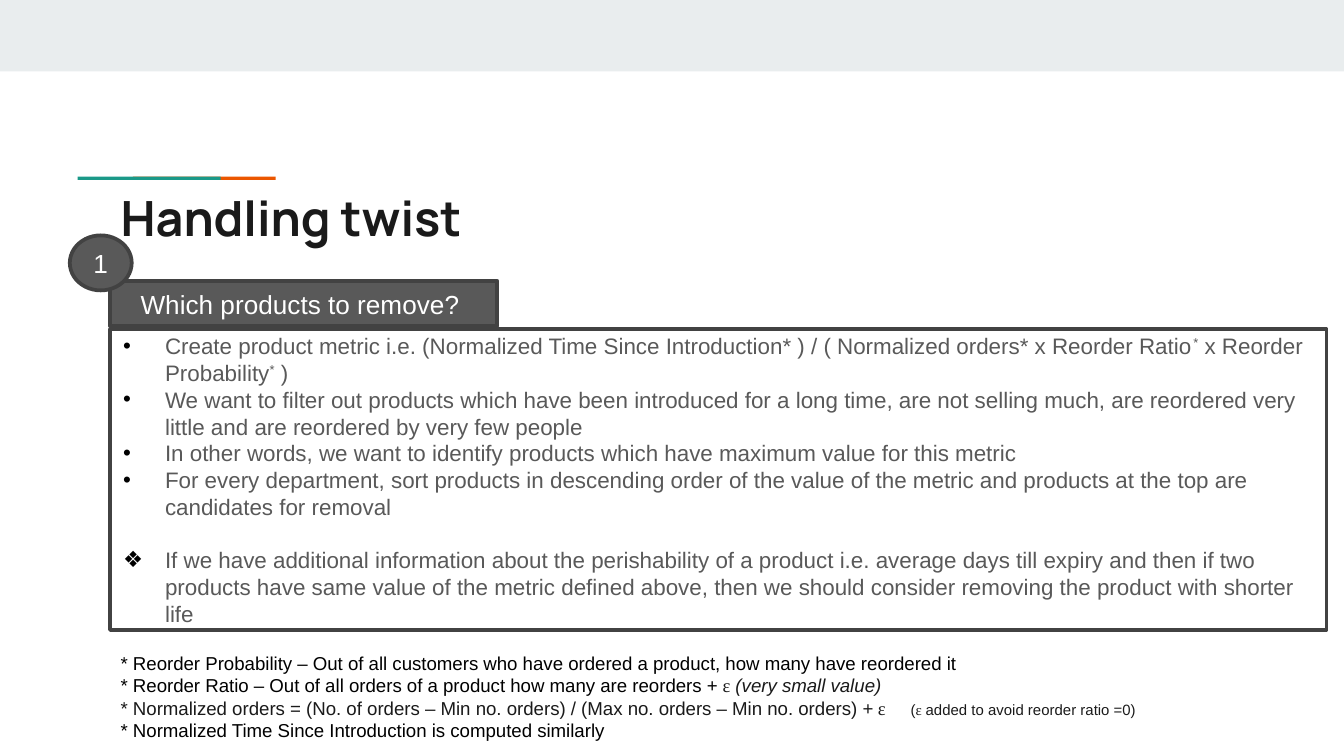
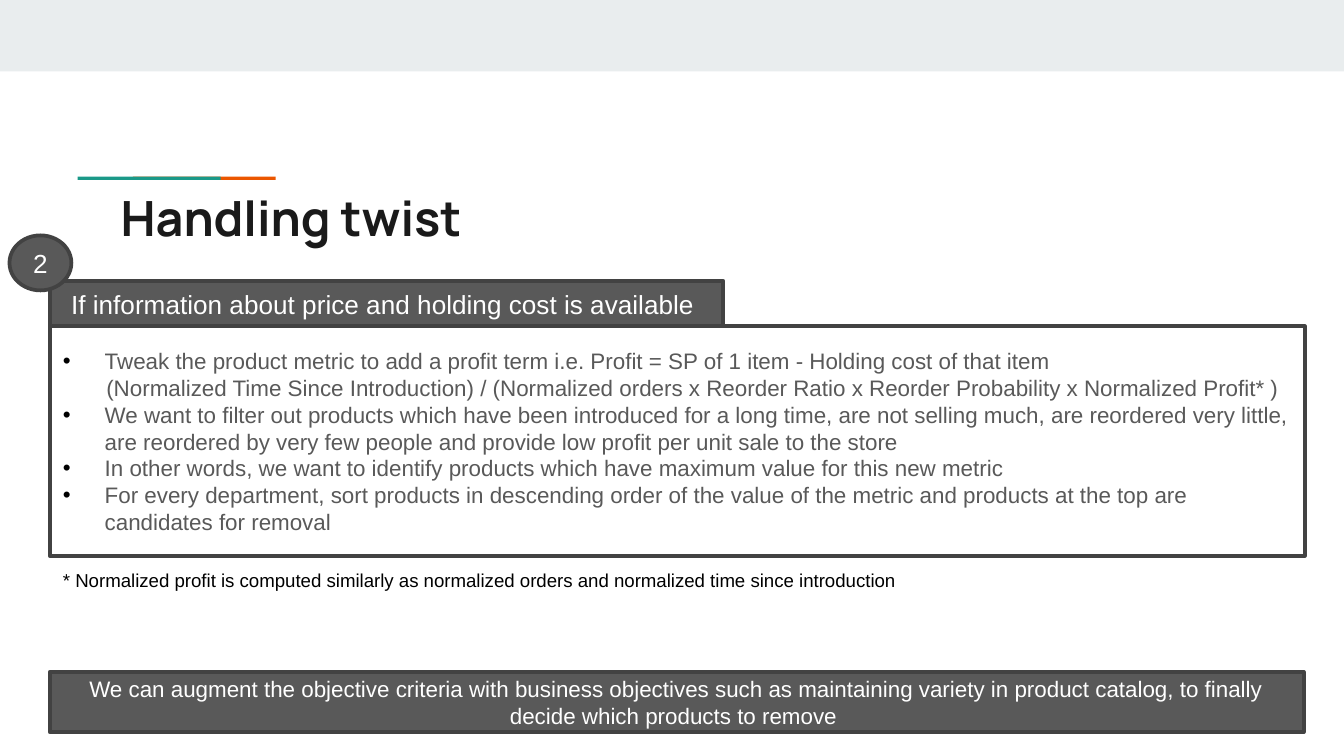
from dataclasses import dataclass
from typing import Optional

from pptx import Presentation, util as u
from pptx.dml.color import RGBColor
from pptx.enum import shapes, text
from pptx.oxml.ns import qn
from lxml import etree

WHITE = RGBColor(0xFF, 0xFF, 0xFF)
BLACK = RGBColor(0x00, 0x00, 0x00)
INK = RGBColor(0x1A, 0x1A, 0x1A)
GREY = RGBColor(0x59, 0x59, 0x59)
EDGE = RGBColor(0x42, 0x42, 0x42)
BAND = RGBColor(0xE9, 0xED, 0xEE)
TEAL = RGBColor(0x1A, 0x99, 0x88)
ORANGE = RGBColor(0xEB, 0x56, 0x00)

BODY_FONT = "Arial"
TITLE_FONT = "Manrope"
SYMBOL_FONT = "Times New Roman"
SLIDE_WIDTH, SLIDE_HEIGHT = 25.4, 14.29
HANGING = 0.79
BADGE_OFFSET = 0.76


@dataclass(frozen=True)
class Box:
    """Position and size in centimetres."""
    left: float
    top: float
    width: float
    height: float

    def lengths(self) -> tuple:
        return tuple(u.Cm(value) for value in
                     (self.left, self.top, self.width, self.height))


@dataclass(frozen=True)
class Run:
    """A stretch of text; unset values follow the paragraph."""
    text: str
    font: Optional[str] = None
    size: Optional[float] = None
    color: Optional[RGBColor] = None
    italic: Optional[bool] = None
    raised: bool = False


@dataclass(frozen=True)
class Line:
    """A paragraph with its common style."""
    runs: tuple
    size: float = 12
    color: RGBColor = GREY
    font: str = BODY_FONT
    bold: Optional[bool] = None
    centred: bool = False
    bullet: str = ""
    indent: float = 0
    space_before: float = 0
    tab: float = 0


@dataclass(frozen=True)
class Topic:
    """A numbered panel with heading, points and footnotes."""
    number: str
    heading: str
    heading_width: float
    panel: Box
    points: tuple
    footer_box: Box
    footnotes: tuple


def plain(content: str, **style) -> Line:
    return Line((Run(content),), **style)


def point(*runs: Run, bullet: str = "•", space_before: float = 0) -> Line:
    return Line(runs, bullet=bullet, space_before=space_before)


def footnote(*runs: Run, color: RGBColor = BLACK, tab: float = 0) -> Line:
    return Line(runs, size=10, color=color, tab=tab)


def label(content: str, size: float) -> Line:
    return plain(content, size=size, color=WHITE, centred=True)


STAR = Run("*", raised=True)
EPSILON = Run("ɛ", font=SYMBOL_FONT, color=INK)
SORTING = point(Run("For every department, sort products in descending order of the value of "
                    "the metric and products at the top are candidates for removal"))

REMOVAL = Topic(
    "1", "Which products to remove? ", 7.32, Box(2.08, 6.22, 22.99, 5.69),
    (
        point(Run("Create product metric i.e. (Normalized Time Since Introduction* ) / "
                  "( Normalized orders* x Reorder Ratio"), STAR,
              Run(" x Reorder Probability"), STAR, Run(" )")),
        point(Run("We want to filter out products which have been introduced for a long time, "
                  "are not selling much, are reordered very little and are reordered by very "
                  "few people")),
        point(Run("In other words, we want to identify products which have maximum value for "
                  "this metric")),
        SORTING,
        point(Run("If we have additional information about the perishability of a product i.e. "
                  "average days till expiry and then if two products have same value of the "
                  "metric defined above, then we should consider removing the product with "
                  "shorter life"), bullet="❖", space_before=14),
    ),
    Box(2.03, 12.19, 22.99, 1.98),
    (
        footnote(Run("* Reorder Probability – Out of all customers who have ordered a product, "
                     "how many have reordered it")),
        footnote(Run("* Reorder Ratio – Out of all orders of a product how many are reorders + "),
                 EPSILON, Run(" (very small value)", color=INK, italic=True)),
        footnote(Run("* Normalized orders = (No. of orders – Min no. orders) / "
                     "(Max no. orders – Min no. orders) + "), EPSILON, Run("\t(", size=8),
                 Run("ɛ ", font=SYMBOL_FONT, size=8),
                 Run("added to avoid reorder ratio =0)", size=8), color=INK, tab=14.93),
        footnote(Run("* Normalized Time Since Introduction is computed similarly")),
    ))

PRICING = Topic(
    "2", "If information about price and holding cost is available ", 12.73,
    Box(0.94, 6.17, 23.72, 4.34),
    (
        point(Run("Tweak the product metric to add a profit term i.e. Profit = SP of 1 item - "
                  "Holding cost of that item")),
        plain("(Normalized Time Since Introduction) / (Normalized orders x Reorder Ratio x "
              "Reorder Probability x Normalized Profit* )", indent=0.82),
        point(Run("We want to filter out products which have been introduced for a long time, "
                  "are not selling much, are reordered very little, are reordered by very few "
                  "people and provide low profit per unit sale to the store")),
        point(Run("In other words, we want to identify products which have maximum value for "
                  "this new metric")),
        SORTING,
    ),
    Box(0.94, 10.62, 22.99, 0.69),
    (footnote(Run("* Normalized profit is computed similarly as normalized orders and normalized "
                  "time since introduction")),))

CONCLUSION_BOX = Box(0.94, 12.7, 23.7, 1.14)
CONCLUSION = ("We can augment the objective criteria with business objectives such as maintaining "
              "variety in product catalog, to finally decide which products to remove ")


def set_indents(paragraph, line: Line) -> None:
    """Add bullet, indent and tab stop; these precede the font in the XML."""
    properties = paragraph._p.get_or_add_pPr()
    if line.bullet:
        properties.set("marL", str(u.Cm(HANGING)))
        properties.set("indent", str(-u.Cm(HANGING)))
        color = etree.SubElement(properties, qn("a:buClr"))
        etree.SubElement(color, qn("a:srgbClr"), val=str(BLACK))
        etree.SubElement(properties, qn("a:buFont"), typeface=BODY_FONT)
        etree.SubElement(properties, qn("a:buChar"), char=line.bullet)
    elif line.indent:
        properties.set("marL", str(u.Cm(line.indent)))
        properties.set("indent", "0")
    if line.tab:
        stops = etree.SubElement(properties, qn("a:tabLst"))
        etree.SubElement(stops, qn("a:tab"), pos=str(u.Cm(line.tab)), algn="l")


def write(shape, lines: tuple) -> None:
    frame = shape.text_frame
    frame.word_wrap = True
    for index, line in enumerate(lines):
        paragraph = frame.add_paragraph() if index else frame.paragraphs[0]
        set_indents(paragraph, line)
        paragraph.alignment = text.PP_ALIGN.CENTER if line.centred else text.PP_ALIGN.LEFT
        if line.space_before:
            paragraph.space_before = u.Pt(line.space_before)
        paragraph.font.name = line.font
        paragraph.font.size = u.Pt(line.size)
        paragraph.font.bold = line.bold
        paragraph.font.color.rgb = line.color
        for part in line.runs:
            run = paragraph.add_run()
            run.text = part.text
            if part.font:
                run.font.name = part.font
            if part.size:
                run.font.size = u.Pt(part.size)
            # Shape text is white by default, so every run carries its colour
            run.font.color.rgb = part.color or line.color
            if part.italic:
                run.font.italic = True
            if part.raised:
                run._r.get_or_add_rPr().set("baseline", "30000")


def add_block(slide, box: Box, fill: Optional[RGBColor] = None,
              edge: Optional[RGBColor] = None, lines: tuple = (),
              kind=shapes.MSO_SHAPE.RECTANGLE):
    shape = slide.shapes.add_shape(kind, *box.lengths())
    shape.shadow.inherit = False
    if fill is None:
        shape.fill.background()
    else:
        shape.fill.solid()
        shape.fill.fore_color.rgb = fill
    if edge is None:
        shape.line.fill.background()
    else:
        shape.line.color.rgb = edge
        shape.line.width = u.Pt(2)
    if lines:
        shape.text_frame.vertical_anchor = text.MSO_ANCHOR.MIDDLE
        write(shape, lines)
    return shape


def add_text(slide, box: Box, lines: tuple):
    shape = slide.shapes.add_textbox(*box.lengths())
    write(shape, lines)
    return shape


def add_base(presentation):
    """Add a slide with the band, accent rule and title."""
    slide = presentation.slides.add_slide(presentation.slide_layouts[6])
    add_block(slide, Box(0, 0, SLIDE_WIDTH, 1.35), BAND)
    for left, color in ((2.51, ORANGE), (1.47, TEAL)):
        add_block(slide, Box(left, 3.34, 2.7, 0.06), color)
    title = add_text(slide, Box(2.03, 3.3, 21.36, 1.5),
                     (plain("Handling twist", size=26, color=INK, font=TITLE_FONT, bold=True),))
    frame = title.text_frame
    frame.margin_top = frame.margin_bottom = u.Cm(0.25)
    return slide


def add_topic(slide, topic: Topic) -> None:
    left = topic.panel.left
    add_block(slide, Box(left, 5.31, topic.heading_width, 0.86), GREY, EDGE,
              (label(topic.heading, 14),))
    add_block(slide, topic.panel, edge=EDGE, lines=topic.points)
    add_text(slide, topic.footer_box, topic.footnotes)
    add_block(slide, Box(left - BADGE_OFFSET, 4.45, 1.17, 1.04), GREY, EDGE,
              (label(topic.number, 14),), shapes.MSO_SHAPE.OVAL)


def main() -> None:
    presentation = Presentation()
    presentation.slide_width = u.Cm(SLIDE_WIDTH)
    presentation.slide_height = u.Cm(SLIDE_HEIGHT)

    # Slide 1: which products to remove
    add_topic(add_base(presentation), REMOVAL)

    # Slide 2: price and holding cost, with the conclusion
    slide = add_base(presentation)
    add_topic(slide, PRICING)
    add_block(slide, CONCLUSION_BOX, GREY, EDGE, (label(CONCLUSION, 12),))

    presentation.save("out.pptx")


if __name__ == "__main__":
    main()
